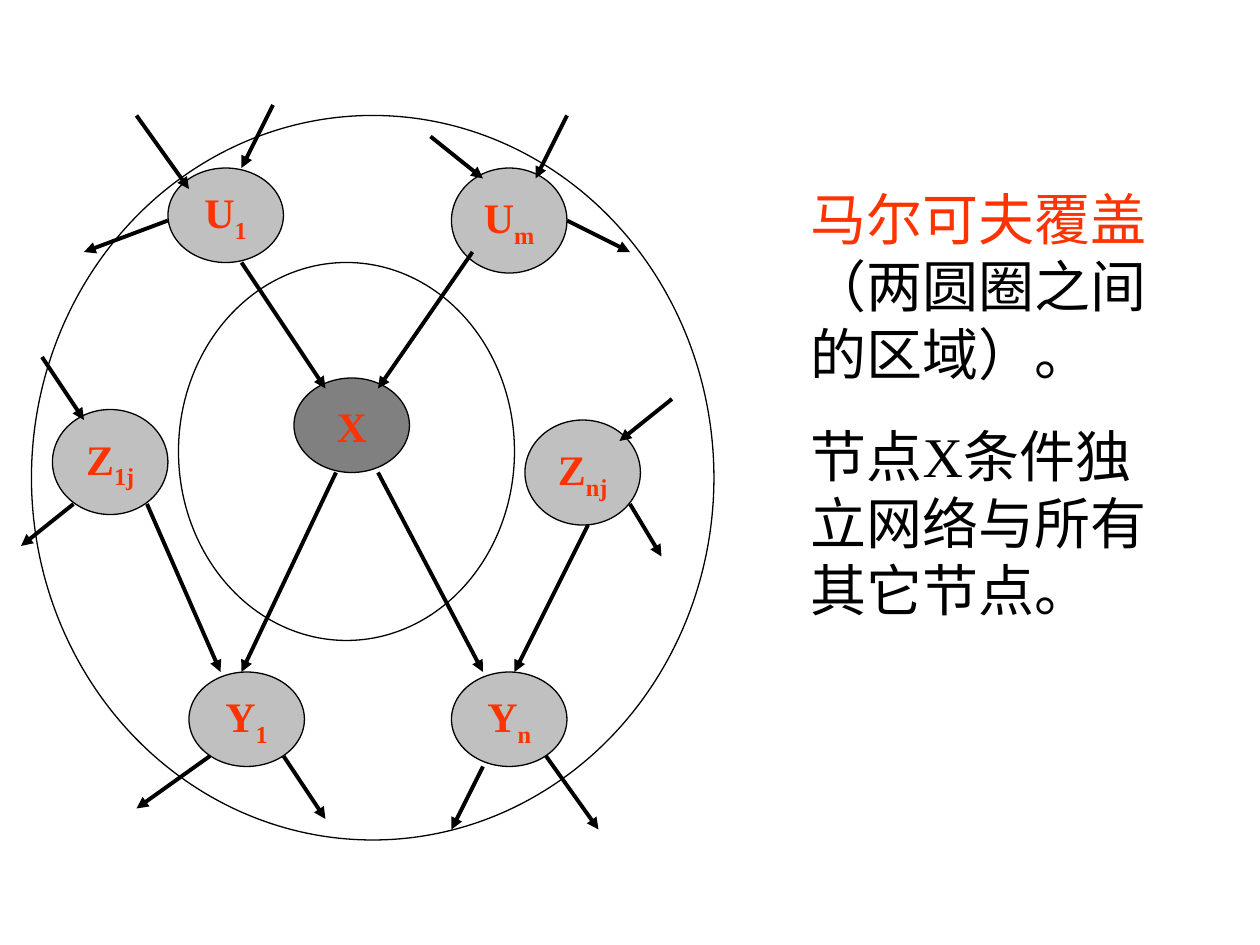
from typing import Any, NamedTuple

from lxml.etree import SubElement
from pptx import Presentation
from pptx.dml.color import RGBColor
from pptx.enum.lang import MSO_LANGUAGE_ID
from pptx.enum.shapes import MSO_CONNECTOR, MSO_SHAPE
from pptx.enum.text import MSO_ANCHOR, MSO_AUTO_SIZE, PP_ALIGN
from pptx.oxml.ns import qn
from pptx.util import Emu, Pt

PX = 9525  # EMU in one px, 96 px to the inch
NODE_WIDTH = 88
BLACK, WHITE, RED = "000000", "FFFFFF", "FF3300"
LIGHT_GRAY, DARK_GRAY = "C0C0C0", "808080"

LABEL_FORMAT = {"name": "Times New Roman", "size": Pt(24), "bold": True}
NOTE_FORMAT = {
    "name": "Times New Roman",
    "size": Pt(32),
    "language_id": MSO_LANGUAGE_ID.SIMPLIFIED_CHINESE,
}


class Ring(NamedTuple):
    left: int
    top: int
    width: int
    height: int


class Node(NamedTuple):
    letter: str
    subscript: str
    left: int
    top: int
    height: int
    fill: str = LIGHT_GRAY


class Arrow(NamedTuple):
    x1: int
    y1: int
    x2: int
    y2: int


RINGS = [Ring(24, 88, 520, 552), Ring(136, 200, 256, 288)]

NODES = [
    Node("U", "1", 128, 128, 72),
    Node("U", "m", 344, 128, 80),
    Node("X", "", 224, 288, 72, DARK_GRAY),
    Node("Z", "1j", 40, 312, 80),
    Node("Z", "nj", 400, 320, 80),
    Node("Y", "1", 144, 512, 72),
    Node("Y", "n", 344, 512, 72),
]

EDGES = [
    Arrow(184, 200, 248, 296),  # U1 to X
    Arrow(360, 192, 288, 296),  # Um to X
    Arrow(256, 360, 184, 512),  # X to Y1
    Arrow(288, 360, 368, 512),  # X to Yn
    Arrow(112, 384, 168, 512),  # Z1j to Y1
    Arrow(448, 400, 392, 512),  # Znj to Yn
]

OUTSIDE_LINKS = [
    Arrow(104, 88, 144, 144),  # U1
    Arrow(208, 80, 184, 128),
    Arrow(128, 168, 64, 192),
    Arrow(432, 88, 408, 136),  # Um
    Arrow(328, 104, 368, 136),
    Arrow(432, 168, 480, 192),
    Arrow(160, 576, 104, 616),  # Y1
    Arrow(216, 576, 248, 624),
    Arrow(368, 584, 344, 632),  # Yn
    Arrow(416, 576, 456, 632),
    Arrow(56, 384, 16, 416),  # Z1j
    Arrow(32, 272, 64, 320),
    Arrow(512, 304, 472, 336),  # Znj
    Arrow(480, 384, 504, 424),
]

NOTES = [
    [("马尔可夫覆盖", RED), ("（两圆圈之间的区域）。", BLACK)],
    [("节点X条件独立网络与所有其它节点。", BLACK)],
]


def px(*lengths: int) -> list[Emu]:
    return [Emu(length * PX) for length in lengths]


def color(value: str) -> RGBColor:
    return RGBColor.from_string(value)


def add_run(paragraph: Any, text: str, text_color: str, formats: dict[str, Any]) -> Any:
    run = paragraph.add_run()
    run.text = text
    for name, value in formats.items():
        setattr(run.font, name, value)
    run.font.color.rgb = color(text_color)
    return run


def add_ellipse(slide: Any, box: Ring, fill: str) -> Any:
    shape = slide.shapes.add_shape(MSO_SHAPE.OVAL, *px(*box))
    shape.shadow.inherit = False
    shape.fill.solid()
    shape.fill.fore_color.rgb = color(fill)
    shape.line.color.rgb = color(BLACK)
    shape.line.width = Pt(0.75)
    return shape


def add_node(slide: Any, node: Node) -> None:
    box = Ring(node.left, node.top, NODE_WIDTH, node.height)
    frame = add_ellipse(slide, box, node.fill).text_frame
    frame.word_wrap = False
    frame.vertical_anchor = MSO_ANCHOR.MIDDLE
    paragraph = frame.paragraphs[0]
    paragraph.alignment = PP_ALIGN.CENTER
    add_run(paragraph, node.letter, RED, LABEL_FORMAT)
    if node.subscript:
        run = add_run(paragraph, node.subscript, RED, LABEL_FORMAT)
        run._r.get_or_add_rPr().set("baseline", "-25000")


def add_arrow(slide: Any, arrow: Arrow) -> None:
    connector = slide.shapes.add_connector(MSO_CONNECTOR.STRAIGHT, *px(*arrow))
    connector.line.color.rgb = color(BLACK)
    connector.line.width = Pt(2.25)
    SubElement(connector.line._get_or_add_ln(), qn("a:tailEnd"), type="triangle")
    SubElement(connector._element.spPr, qn("a:effectLst"))


def add_notes(slide: Any) -> None:
    """Add the explanation to the right of the network."""
    frame = slide.shapes.add_textbox(*px(608, 136, 304, 344)).text_frame
    frame.word_wrap = True
    frame.auto_size = MSO_AUTO_SIZE.SHAPE_TO_FIT_TEXT
    for index, parts in enumerate(NOTES):
        paragraph = frame.add_paragraph() if index else frame.paragraphs[0]
        if index:
            paragraph.space_before = Pt(20)
        for text, text_color in parts:
            add_run(paragraph, text, text_color, NOTE_FORMAT)


def main() -> None:
    presentation = Presentation()
    presentation.slide_width, presentation.slide_height = px(960, 720)
    slide = presentation.slides.add_slide(presentation.slide_layouts[6])
    for ring in RINGS:
        add_ellipse(slide, ring, WHITE)
    for node in NODES:
        add_node(slide, node)
    for arrow in EDGES + OUTSIDE_LINKS:
        add_arrow(slide, arrow)
    add_notes(slide)
    presentation.save("out.pptx")


if __name__ == "__main__":
    main()
